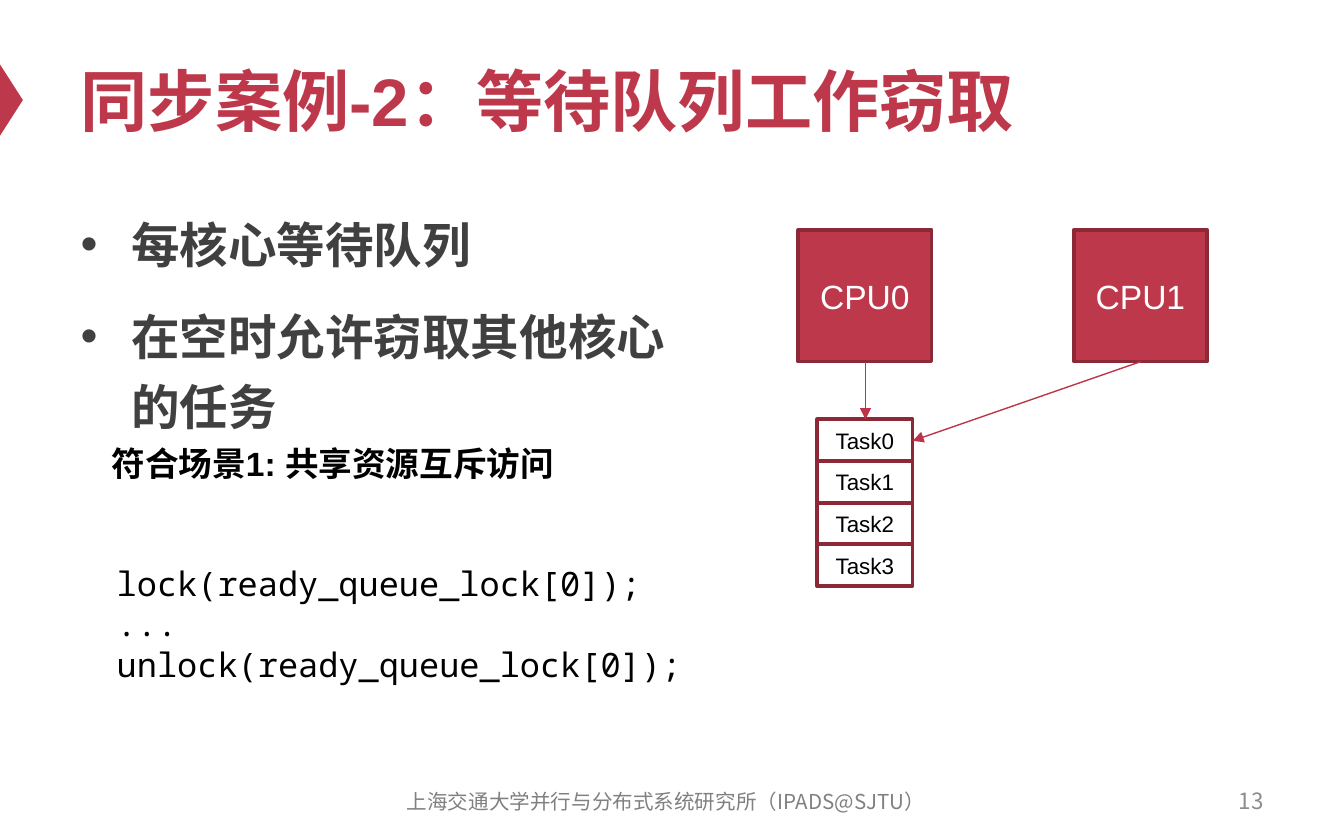
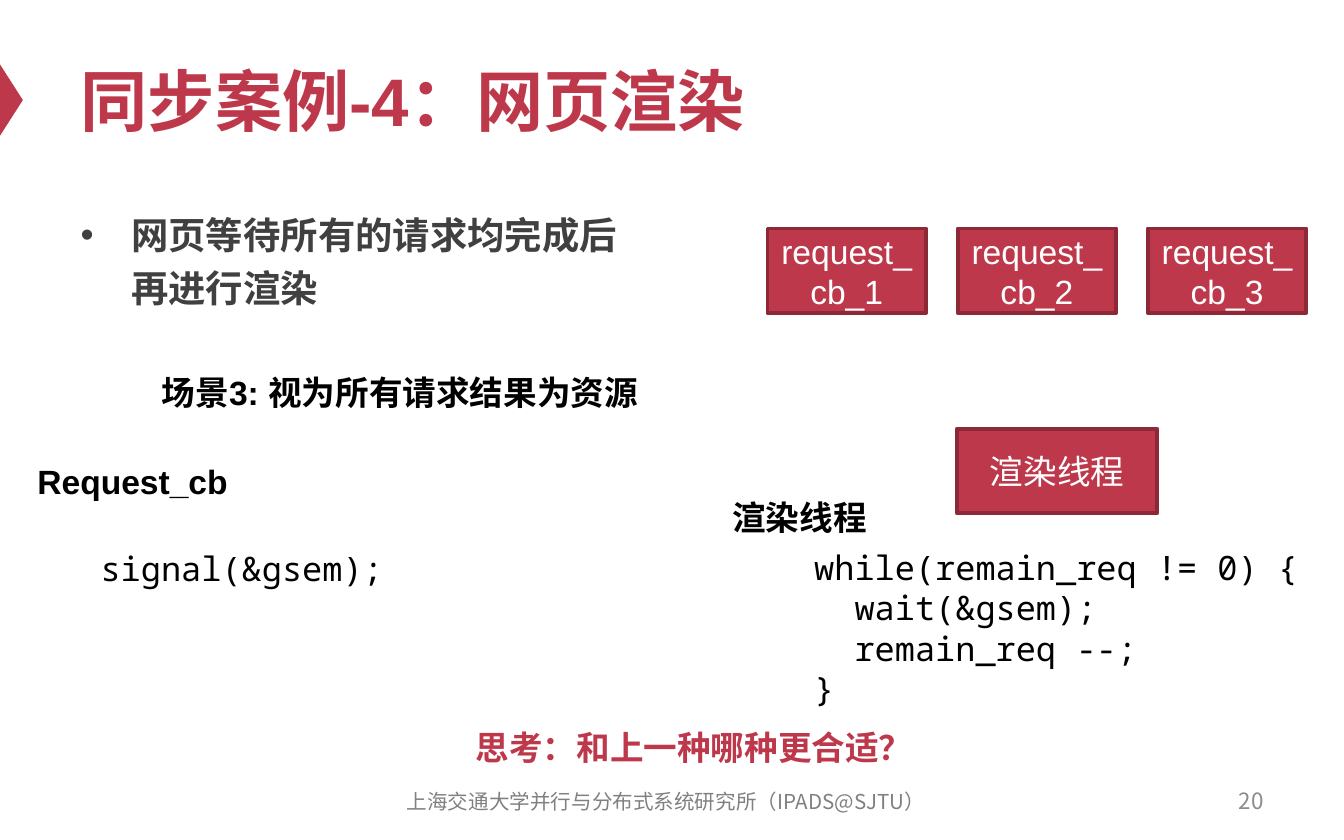
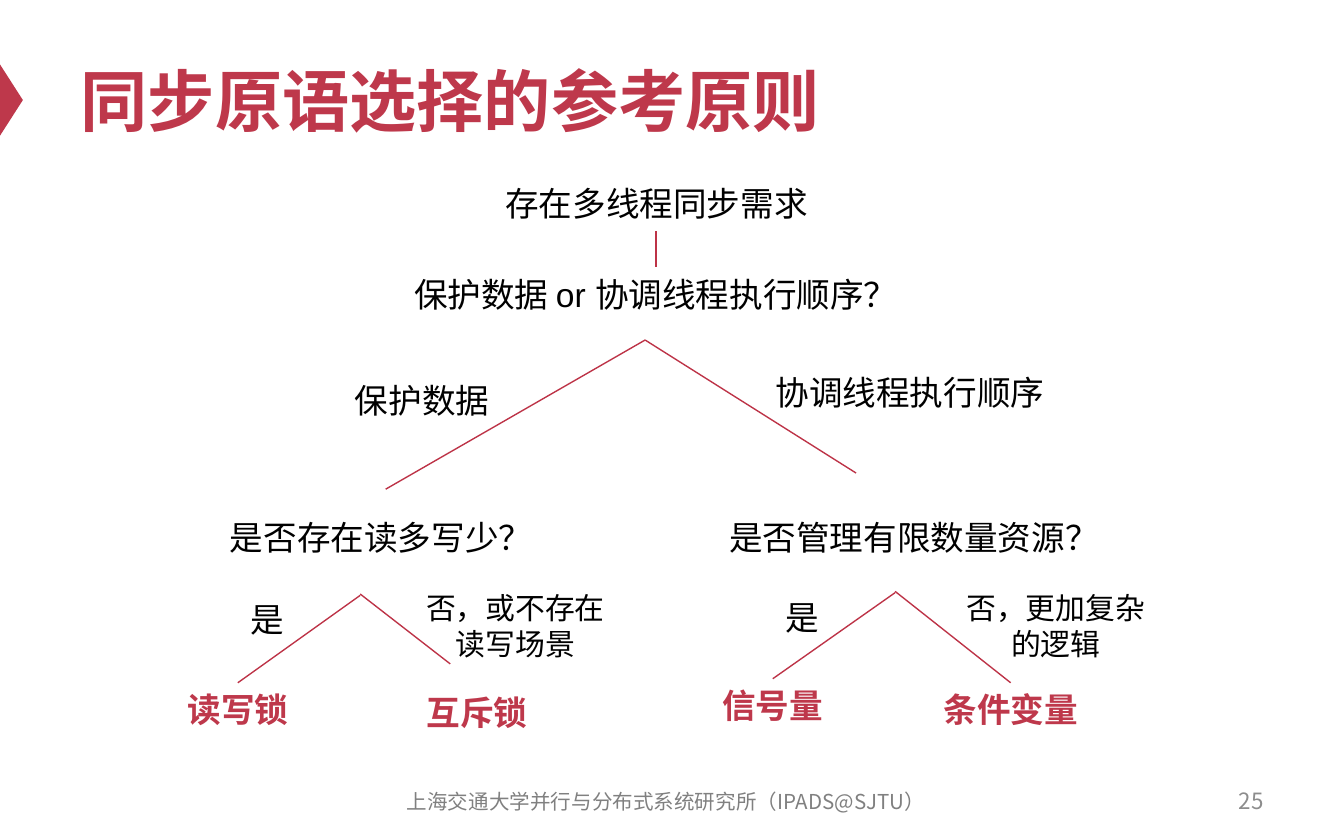
from lxml import etree
from pptx import Presentation
from pptx import util as u
from pptx.dml.color import RGBColor
from pptx.enum import shapes, text
from pptx.oxml.ns import qn

HUES = {"red": "BE384B", "edge": "8D2937", "link": "BD3347", "ink": "000000",
        "body": "404040", "foot": "808080", "page": "8C8C8C", "white": "FFFFFF"}
HUES = {name: RGBColor.from_string(code) for name, code in HUES.items()}
SANS, CJK, MONO = "Arial", "Noto Sans CJK SC", "Noto Sans Mono"
LEFT, MID, RIGHT = text.PP_ALIGN.LEFT, text.PP_ALIGN.CENTER, text.PP_ALIGN.RIGHT
RECT = shapes.MSO_SHAPE.RECTANGLE


def write(shape, words, size=18, hue="ink", bold=False, align=MID, face=SANS, wrap=True):
    """Fill a shape with text, one paragraph per line, and return its frame."""
    frame = shape.text_frame
    frame.text = words
    frame.word_wrap = wrap
    frame.auto_size = text.MSO_AUTO_SIZE.NONE
    for para in frame.paragraphs:
        para.alignment = align
        font = para.font
        font.name, font.size, font.bold = face, u.Pt(size), bold
        font.color.rgb = HUES[hue]
        base = para._p.pPr.find(qn("a:defRPr"))
        etree.SubElement(base, qn("a:ea")).set("typeface", CJK)
    return frame


def link(slide, start, end, arrow=False):
    ends = map(u.Inches, (*start, *end))
    line = slide.shapes.add_connector(shapes.MSO_CONNECTOR.STRAIGHT, *ends)
    line.line.color.rgb = HUES["link"]
    line.line.width = u.Pt(0.75)
    props = line._element.spPr
    if arrow:
        etree.SubElement(props.find(qn("a:ln")), qn("a:tailEnd")).set("type", "triangle")
    etree.SubElement(props, qn("a:effectLst"))


deck = Presentation()
deck.slide_width, deck.slide_height = u.Inches(10), u.Inches(6.25)

# Shared frame: title, marker, footer, page number and list
pages = [
    ("同步案例-2：等待队列工作窃取", "13",
     ("每核心等待队列\n在空时允许窃取其他核心的任务", 26, 4.81, 4.12)),
    ("同步案例-4：网页渲染", "20",
     ("网页等待所有的请求均完成后\v再进行渲染", 20, 4.95, 1.17)),
    ("同步原语选择的参考原则", "25", None),
]
for head, num, points in pages:
    slide = deck.slides.add_slide(deck.slide_layouts[1 if points else 5])
    mark = slide.shapes.add_shape(shapes.MSO_SHAPE.ISOSCELES_TRIANGLE,
                                  *map(u.Inches, (-0.18, 0.66, 0.53, 0.17)))
    mark.rotation = 90
    mark.shadow.inherit = False
    mark.fill.solid()
    mark.fill.fore_color.rgb = HUES["red"]
    mark.line.fill.background()

    title = slide.shapes.title
    title.left, title.top, title.width, title.height = map(u.Inches, (0.5, 0.25, 9, 0.98))
    write(title, head, 36, "red", True, LEFT)

    for at, words, size, hue, align in [
            ((7.17, 5.79, 2.33, 0.33), num, 12, "page", RIGHT),
            ((2.79, 5.8, 4.33, 0.33), "上海交通大学并行与分布式系统研究所（IPADS@SJTU）",
             11, "foot", MID)]:
        foot = slide.shapes.add_textbox(*map(u.Inches, at))
        frame = write(foot, words, size, hue, align=align, face=CJK)
        frame.vertical_anchor = text.MSO_ANCHOR.MIDDLE

    if points:
        words, size, wide, high = points
        body = slide.placeholders[1]
        body.left, body.top, body.width, body.height = map(u.Inches, (0.5, 1.46, wide, high))
        frame = write(body, words, size, "body", True, LEFT)
        for i, para in enumerate(frame.paragraphs):
            para.line_spacing = 1.2
            para.space_before = u.Pt(12 if i else 0)

steal, render, guide = deck.slides

# Filled and outlined boxes
boxes = [(steal, (5.94 + 2.05 * i, 1.71, 0.99, 0.98), f"CPU{i}", True) for i in range(2)]
boxes += [(steal, (6.08, 3.12 + 0.31 * i, 0.71, 0.31), f"Task{i}", False) for i in range(4)]
boxes += [(render, (5.71 + 1.415 * i, 1.7, 1.18, 0.63), f"request_cb_{i + 1}", True)
          for i in range(3)]
boxes.append((render, (7.12, 3.19, 1.49, 0.63), "渲染线程", True))
for slide, at, words, solid in boxes:
    box = slide.shapes.add_shape(RECT, *map(u.Inches, at))
    box.shadow.inherit = False
    box.line.color.rgb = HUES["edge"]
    box.line.width = u.Pt(2)
    if solid:
        box.fill.solid()
        box.fill.fore_color.rgb = HUES["red"]
        write(box, words, 18, "white")
    else:
        box.fill.background()
        write(box, words, 12)

link(steal, (8.49, 2.69), (6.79, 3.28), True)
link(steal, (6.44, 2.69), (6.44, 3.12), True)

# Bold captions
for slide, at, words, hue, align in [
        (steal, (0.5, 3.25, 3.95, 0.4), "符合场景1: 共享资源互斥访问", "ink", MID),
        (render, (0.85, 2.72, 4.25, 0.4), "场景3: 视为所有请求结果为资源", "ink", MID),
        (render, (3.04, 5.36, 4.25, 0.4), "思考：和上一种哪种更合适？", "red", MID),
        (render, (5.35, 3.65, 1.21, 0.4), "渲染线程", "ink", LEFT),
        (render, (0.18, 3.38, 1.63, 0.4), "Request_cb", "ink", LEFT)]:
    note = slide.shapes.add_textbox(*map(u.Inches, at))
    write(note, words, 18, hue, True, align, wrap=align == MID)

# Code
for slide, at, words in [
        (steal, (0.77, 4.14, 4.42, 1.01),
         "lock(ready_queue_lock[0]);\n...\nunlock(ready_queue_lock[0]);"),
        (render, (5.96, 4.02, 3.82, 1.31),
         "while(remain_req != 0) {\n  wait(&gsem);\n  remain_req --;\n}"),
        (render, (0.65, 4.03, 2.31, 0.4), "signal(&gsem);")]:
    code = slide.shapes.add_textbox(*map(u.Inches, at))
    write(code, words, align=LEFT, face=MONO, wrap=False)

# Decision tree
for start, end in [
        ((4.88, 1.72), (4.88, 1.99)),
        ((4.8, 2.53), (2.87, 3.64)), ((4.8, 2.53), (6.37, 3.52)),
        ((2.68, 4.43), (1.77, 5.08)), ((2.68, 4.42), (3.35, 4.94)),
        ((6.66, 4.41), (5.75, 5.05)), ((6.66, 4.4), (7.52, 5.08))]:
    link(guide, start, end)

for x, y, wide, words in [
        (3.35, 1.31, 3.07, "存在多线程同步需求"),
        (2.95, 1.99, 3.86, "保护数据 or 协调线程执行顺序？"),
        (2.45, 2.78, 1.38, "保护数据"),
        (5.66, 2.72, 2.22, "协调线程执行顺序"),
        (1.54, 3.8, 2.34, "是否存在读多写少？"),
        (5.24, 3.8, 2.87, "是否管理有限数量资源？"),
        (1.3, 4.41, 1.38, "是"),
        (5.28, 4.39, 1.38, "是")]:
    node = guide.shapes.add_textbox(*map(u.Inches, (x, y, wide, 0.4)))
    write(node, words)

for x, words in [(3.07, "否，或不存在读写场景"), (7.09, "否，更加复杂的逻辑")]:
    node = guide.shapes.add_textbox(*map(u.Inches, (x, 4.34, 1.53, 0.64)))
    write(node, words, 16)

for x, y, words in [(1.08, 5.08, "读写锁"), (2.86, 5.1, "互斥锁"),
                    (5.06, 5.05, "信号量"), (6.83, 5.08, "条件变量")]:
    leaf = guide.shapes.add_textbox(*map(u.Inches, (x, y, 1.38, 0.4)))
    write(leaf, words, 18, "red", True)

deck.save("out.pptx")
